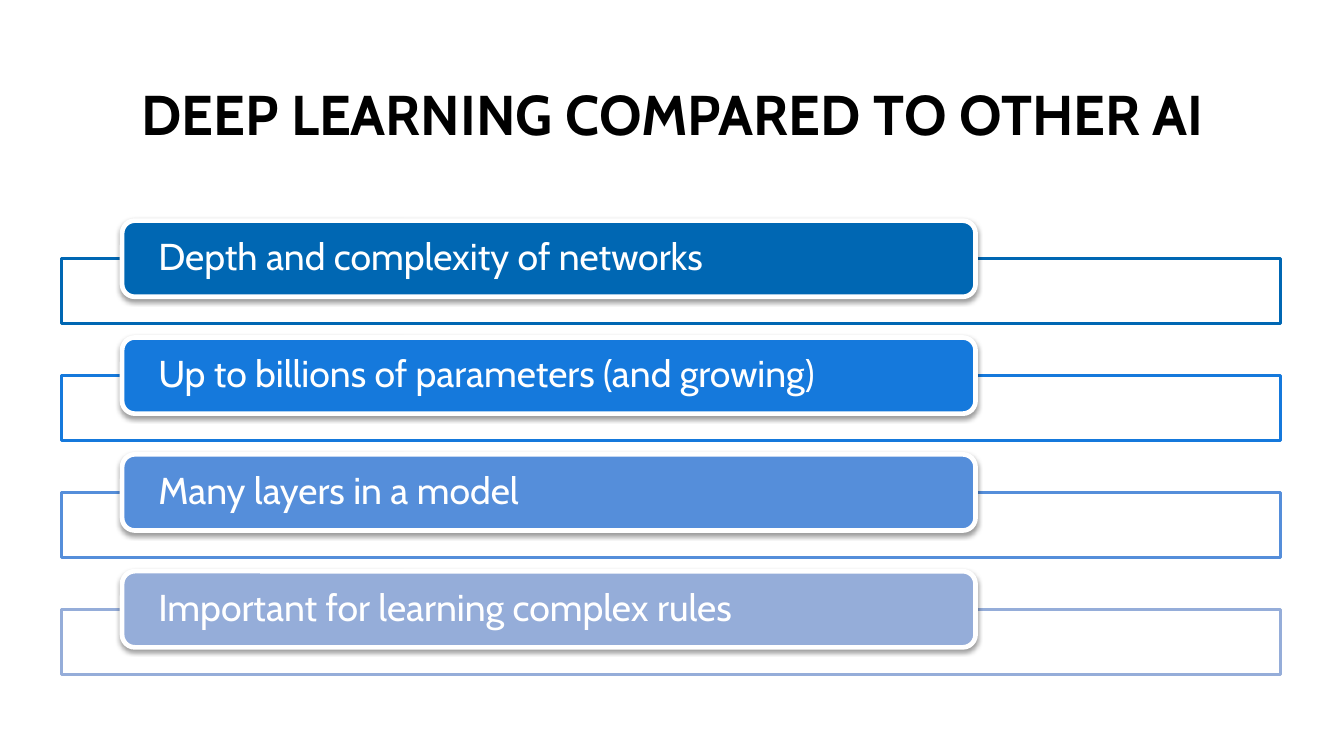
from lxml import etree
from pptx import Presentation
from pptx import util as u
from pptx.dml.color import RGBColor
from pptx.enum import shapes, text
from pptx.oxml import ns

TITLE = "DEEP LEARNING COMPARED TO OTHER AI"
POINTS = [
    ("Depth and complexity of networks", "0067B3"),
    ("Up to billions of parameters (and growing)", "1579DC"),
    ("Many layers in a model", "558EDA"),
    ("Important for learning complex rules", "95ADD9"),
]
THEME = {
    "white": "FFFFFF",
    "shadow": "000000",
    "title": {"name": "Cabin", "size": u.Pt(36), "bold": True, "color": "000000"},
    "label": {"name": "Cabin", "size": u.Pt(24), "bold": False, "color": "FFFFFF"},
}
FRAME_TOP, LAST_TOP, LABEL_RISE = 2.31, 5.44, 0.34
PITCH = (LAST_TOP - FRAME_TOP) / (len(POINTS) - 1)


def add_child(parent, tag, **attrs):
    return etree.SubElement(parent, ns.qn(tag), {k: str(v) for k, v in attrs.items()})


def write(tf, content, style, align, **frame):
    for name, value in {"word_wrap": True, **frame}.items():
        setattr(tf, name, value)
    p = tf.paragraphs[0]
    p.alignment, p.line_spacing = align, 0.9
    r = p.add_run()
    r.text = content
    for name, value in style.items():
        if name == "color":
            r.font.color.rgb = RGBColor.from_string(value)
        else:
            setattr(r.font, name, value)


def add_box(s, kind, at, fill, line, width):
    sp = s.shapes.add_shape(kind, *map(u.Inches, at))
    sp.shadow.inherit = False
    sp.fill.solid()
    sp.fill.fore_color.rgb = RGBColor.from_string(fill)
    sp.line.color.rgb = RGBColor.from_string(line)
    sp.line.width = u.Pt(width)
    return sp


def add_shadow(sp):
    effects = sp._element.spPr.find(ns.qn("a:effectLst"))
    shadow = add_child(effects, "a:outerShdw", blurRad=u.Pt(3.1), dist=u.Pt(1.6),
                       dir=90 * 60000, algn="ctr", rotWithShape=0)
    color = add_child(shadow, "a:srgbClr", val=THEME["shadow"])
    add_child(color, "a:alpha", val=38000)


def add_point(s, label, color, top):
    frame = add_box(s, shapes.MSO_SHAPE.RECTANGLE, (0.55, top, 10.88, 0.58),
                    THEME["white"], color, 2)
    fill = frame._element.spPr.find(ns.qn("a:solidFill"))
    add_child(fill[0], "a:alpha", val=90000)
    bar = add_box(s, shapes.MSO_SHAPE.ROUNDED_RECTANGLE,
                  (1.09, top - LABEL_RISE, 7.62, 0.68), color, THEME["white"], 3)
    add_shadow(bar)
    write(bar.text_frame, label, THEME["label"], text.PP_ALIGN.LEFT,
          vertical_anchor=text.MSO_ANCHOR.MIDDLE,
          margin_left=u.Inches(0.29), margin_right=u.Inches(0.29),
          margin_top=0, margin_bottom=0)


def main():
    prs = Presentation()
    prs.slide_width, prs.slide_height = u.Inches(12), u.Inches(6.75)
    s = prs.slides.add_slide(prs.slide_layouts[6])
    title = s.shapes.add_textbox(*map(u.Inches, (0.55, 0.72, 10.91, 0.65)))
    write(title.text_frame, TITLE, THEME["title"], text.PP_ALIGN.CENTER,
          vertical_anchor=text.MSO_ANCHOR.BOTTOM)
    for i, (label, color) in enumerate(POINTS):
        add_point(s, label, color, FRAME_TOP + i * PITCH)
    prs.save("out.pptx")


if __name__ == "__main__":
    main()
